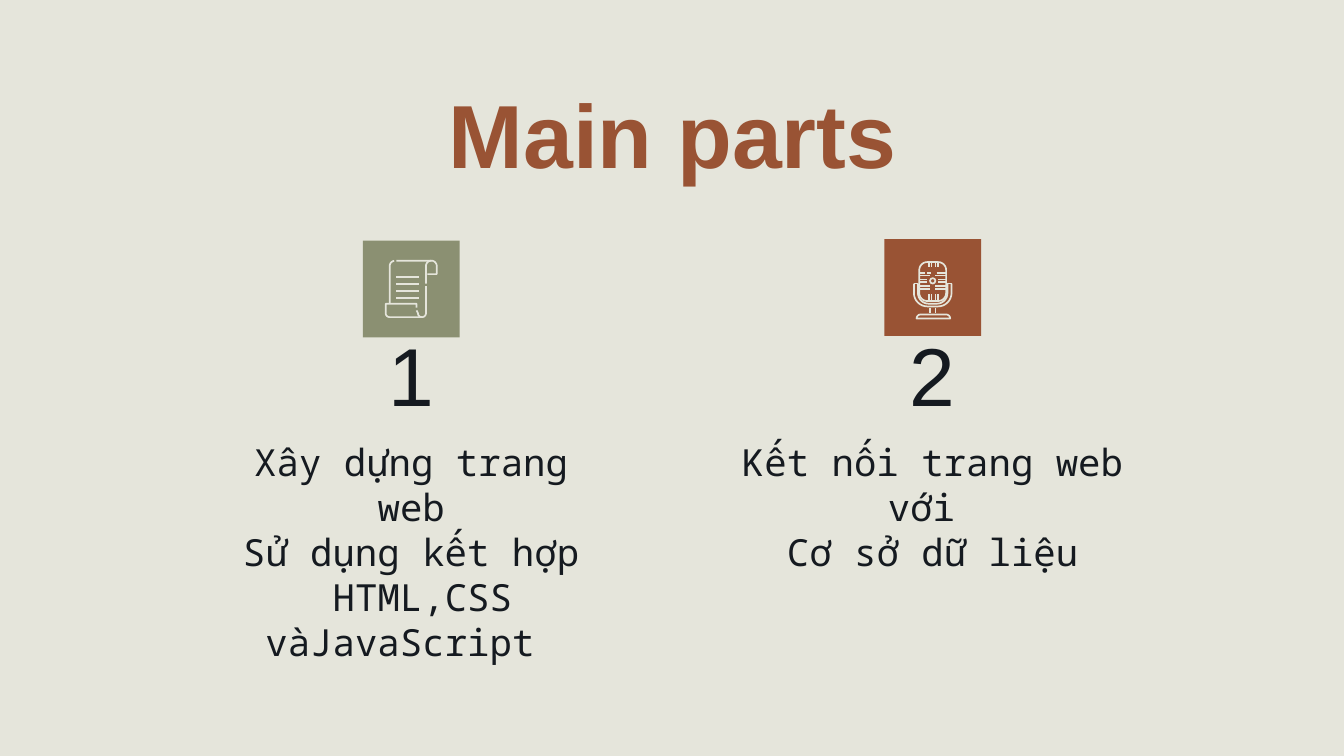
from math import cos, radians, sin

from pptx import Presentation
from pptx.dml.color import RGBColor
from pptx.enum.text import MSO_ANCHOR as Anchor, MSO_AUTO_SIZE as AutoSize, PP_ALIGN as Align
from pptx.enum.shapes import MSO_SHAPE as Shape
from pptx.util import Inches, Pt

CREAM = RGBColor(0xE5, 0xE5, 0xDB)
OLIVE = RGBColor(0x8B, 0x90, 0x72)
RUST = RGBColor(0x99, 0x53, 0x34)
INK = RGBColor(0x15, 0x1A, 0x20)

TITLE_FONT = {"name": "Arial", "size": Pt(48), "bold": True}
NUMBER_FONT = {"name": "Arial", "size": Pt(44)}
BODY_FONT = {"name": "Noto Sans Mono", "size": Pt(20)}


def write_text(box, lines, font, color, anchor=Anchor.TOP):
    frame = box.text_frame
    frame_format = {"word_wrap": True, "auto_size": AutoSize.NONE, "vertical_anchor": anchor}
    for side in ("left", "top", "right", "bottom"):
        frame_format[f"margin_{side}"] = Inches(0.1)
    for name, value in frame_format.items():
        setattr(frame, name, value)
    for index, line in enumerate(lines):
        para = frame.paragraphs[0] if index == 0 else frame.add_paragraph()
        para.alignment = Align.CENTER
        span = para.add_run()
        span.text = line
        for name, value in font.items():
            setattr(span.font, name, value)
        span.font.color.rgb = color


def add_title(page, text):
    title = page.shapes.title
    place = {"left": 0.79, "top": 0.49, "width": 8.43, "height": 0.63}
    for name, value in place.items():
        setattr(title, name, Inches(value))
    write_text(title, [text], TITLE_FONT, RUST)


def add_text(page, left, top, height, *args):
    box = page.shapes.add_textbox(Inches(left), Inches(top), Inches(3.12), Inches(height))
    write_text(box, *args)


def add_tile(page, left, top, color):
    side = Inches(0.72)
    tile = page.shapes.add_shape(Shape.RECTANGLE, Inches(left), Inches(top), side, side)
    tile.shadow.inherit = False
    tile.fill.solid()
    tile.fill.fore_color.rgb = color
    tile.line.fill.background()


def add_drawing(page, strokes):
    """One outline shape made of several open strokes."""
    builder = None
    for stroke in strokes:
        start, *rest = [(Inches(x), Inches(y)) for x, y in stroke]
        if builder is None:
            builder = page.shapes.build_freeform(*start)
        else:
            builder.move_to(*start)
        builder.add_line_segments(rest, close=False)
    drawing = builder.convert_to_shape()
    drawing.shadow.inherit = False
    drawing.fill.background()
    drawing.line.color.rgb = CREAM
    drawing.line.width = Pt(0.9)


def arc(x, y, radius, start, end):
    """Points on a circle; angles in degrees, clockwise from the right."""
    angles = [radians(start + (end - start) * step / 8) for step in range(9)]
    return [(x + radius * cos(angle), y + radius * sin(angle)) for angle in angles]


def bars(left, right, heights):
    return [[(left, y), (right, y)] for y in heights]


def add_scroll_icon(page):
    # Sheet edge and lower roll
    add_drawing(page, [
        arc(2.94, 1.98, 0.04, 260, 180) + [(2.9, 2.26)],
        [(3.1, 2.29), (3.1, 2.26), (2.87, 2.26)] + arc(2.9, 2.33, 0.03, 180, 90)
        + arc(3.14, 2.33, 0.03, 90, 0) + [(3.17, 2.13)],
        [(3.1, 2.31)] + arc(3.14, 2.33, 0.03, 180, 90),
    ])
    # Upper curl
    add_drawing(page, [
        [(2.95, 1.94)] + arc(3.21, 1.98, 0.04, 270, 360) + [(3.25, 2.04), (3.18, 2.04)],
        arc(3.21, 1.98, 0.04, 270, 180) + [(3.17, 2.11)],
    ])
    # Written lines
    for row in range(4):
        add_drawing(page, bars(2.95, 3.12, [2.06 + 0.16 / 3 * row]))


def add_microphone_icon(page):
    center = 6.94
    # Short grille bar and centre dot
    add_drawing(page, bars(6.9, 6.93, [2.03]))
    add_drawing(page, [arc(center, 2.09, 0.02, 0, 360)])

    # Capsule
    left, right, top, bottom, radius = 6.84, 7.04, 1.95, 2.24, 0.06
    capsule = (arc(left + radius, top + radius, radius, 180, 270)
               + arc(right - radius, top + radius, radius, 270, 360)
               + arc(right - radius, bottom - radius, radius, 0, 90)
               + arc(left + radius, bottom - radius, radius, 90, 180))
    strokes = [capsule + capsule[:1]]
    # Grille
    for x in (6.91, 6.93, 6.96, 6.98):
        strokes += [[(x, 1.95), (x, 1.99)], [(x, 2.19), (x, 2.23)]]
    strokes += bars(left, 6.88, [2.03]) + bars(6.97, right, [2.03])
    for inset, heights in ((0.08, (2.05, 2.13, 2.15)), (0.06, (2.08, 2.1))):
        strokes += bars(left, left + inset, heights) + bars(right - inset, right, heights)
    # Cradle
    for reach, radius in ((0.11, 0.08), (0.14, 0.1)):
        strokes.append([(center - reach, 2.11)]
                       + arc(center - reach + radius, 2.18, radius, 180, 90)
                       + arc(center + reach - radius, 2.18, radius, 90, 0)
                       + [(center + reach, 2.11)])
    for side in (-1, 1):
        strokes.append([(center + side * reach, 2.11) for reach in (0.11, 0.14)])
    # Stem and foot
    strokes += [[(x, 2.29), (x, 2.33)] for x in (6.92, 6.96)]
    foot = arc(6.85, 2.37, 0.03, 180, 270) + arc(7.04, 2.37, 0.03, 270, 360)
    strokes.append(foot + foot[:1])
    add_drawing(page, strokes)


def main():
    deck = Presentation()
    deck.slide_width = Inches(10)
    deck.slide_height = deck.slide_width * 9 // 16
    page = deck.slides.add_slide(deck.slide_layouts[5])
    page.background.fill.solid()
    page.background.fill.fore_color.rgb = CREAM
    add_title(page, "Main parts")

    # Two columns: tile, icon, number, description
    columns = [
        (1.5, 1.79, OLIVE, add_scroll_icon,
         ["Xây dựng trang web", "Sử dụng kết hợp", " HTML,CSS vàJavaScript "]),
        (5.38, 1.78, RUST, add_microphone_icon,
         ["Kết nối trang web với ", "Cơ sở dữ liệu"]),
    ]
    for number, (left, tile_top, color, add_icon, lines) in enumerate(columns, 1):
        add_tile(page, left + 1.2, tile_top, color)
        add_icon(page)
        add_text(page, left, 2.64, 0.61, [str(number)], NUMBER_FONT, INK, Anchor.BOTTOM)
        add_text(page, left, 3.17, 1.11, lines, BODY_FONT, INK)

    deck.save("out.pptx")


if __name__ == "__main__":
    main()
